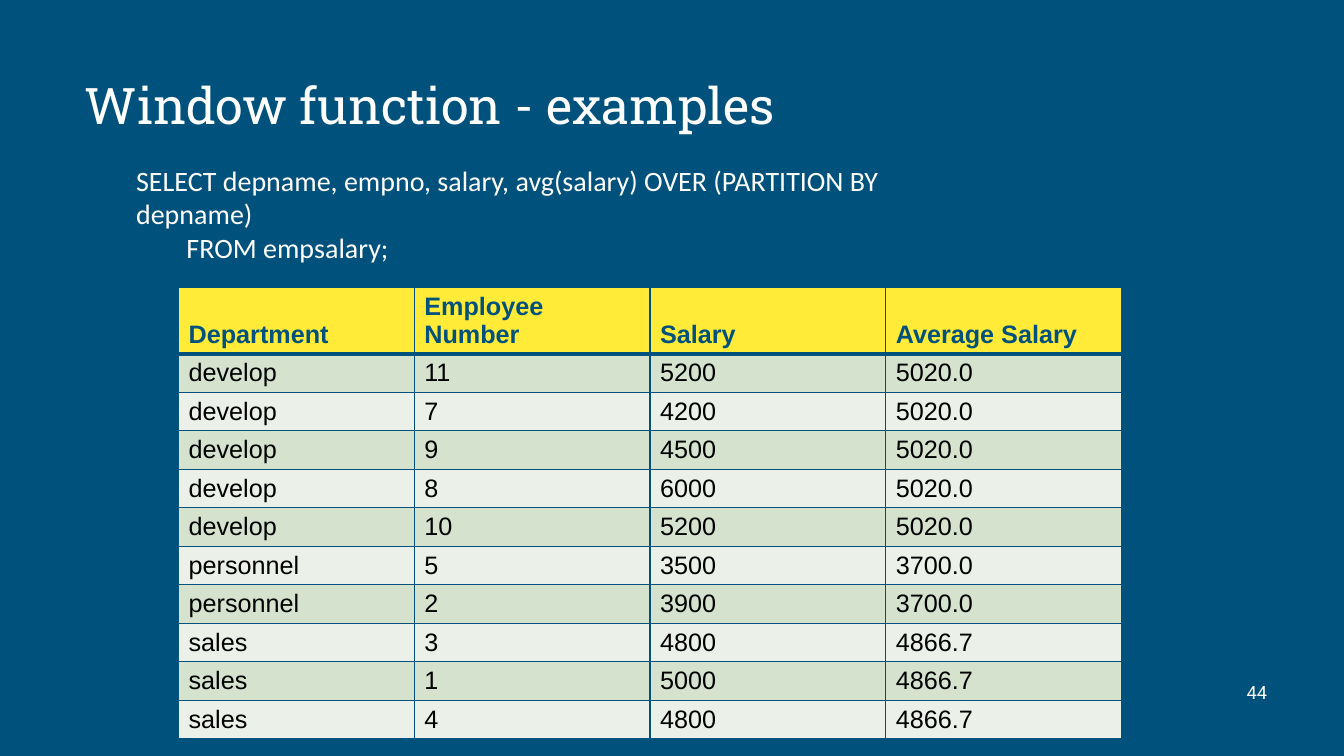
from lxml.etree import SubElement
from pptx import Presentation
from pptx.dml.color import RGBColor
from pptx.enum.text import MSO_ANCHOR, PP_ALIGN
from pptx.oxml.ns import qn
from pptx.util import Cm, Pt

COLORS = {
    "navy": "00517C",
    "yellow": "FFEB38",
    "green": "D4E2CE",
    "pale": "EBF1E8",
    "white": "FFFFFF",
    "black": "000000",
}
HEADINGS = ("Department", "Employee Number", "Salary", "Average Salary")
EMPLOYEES = (
    ("develop", "11", "5200", "5020.0"),
    ("develop", "7", "4200", "5020.0"),
    ("develop", "9", "4500", "5020.0"),
    ("develop", "8", "6000", "5020.0"),
    ("develop", "10", "5200", "5020.0"),
    ("personnel", "5", "3500", "3700.0"),
    ("personnel", "2", "3900", "3700.0"),
    ("sales", "3", "4800", "4866.7"),
    ("sales", "1", "5000", "4866.7"),
    ("sales", "4", "4800", "4866.7"),
)
QUERY = (
    "SELECT depname, empno, salary, avg(salary) OVER (PARTITION BY depname)",
    "  \tFROM empsalary;",
)


def rgb(name):
    """Return the named colour."""
    return RGBColor.from_string(COLORS[name])


def write(paragraph, text, font, size, color, bold=False):
    """Add one formatted run to a paragraph."""
    run = paragraph.add_run()
    run.text = text
    run.font.name = font
    run.font.size = Pt(size)
    run.font.bold = bold
    run.font.color.rgb = rgb(color)


def add_title(slide, left, top, width, height):
    """Place the slide title in its box."""
    title = slide.shapes.title
    title.left, title.top, title.width, title.height = left, top, width, height
    frame = title.text_frame
    frame.word_wrap = True
    frame.vertical_anchor = MSO_ANCHOR.TOP
    frame.margin_top = Cm(0.33)
    heading = frame.paragraphs[0]
    heading.alignment = PP_ALIGN.LEFT
    heading.line_spacing = 0.9
    write(heading, "Window function - examples", "Roboto Slab", 36, "white")


def add_query(slide, left, top, width, height):
    """Place the SQL query, one paragraph a line."""
    frame = slide.shapes.add_textbox(left, top, width, height).text_frame
    frame.word_wrap = True
    for index, line in enumerate(QUERY):
        paragraph = frame.add_paragraph() if index else frame.paragraphs[0]
        write(paragraph, line, "Calibri", 20, "white")


def add_borders(cell, top, bottom):
    """Draw the four cell borders, with top and bottom widths in points."""
    properties = cell._tc.get_or_add_tcPr()
    for side, width in (("L", 1), ("R", 1), ("T", top), ("B", bottom)):
        line = SubElement(properties, qn(f"a:ln{side}"), w=str(Pt(width)))
        fill = SubElement(line, qn("a:solidFill"))
        SubElement(fill, qn("a:srgbClr"), val=COLORS["navy"])


def add_salaries(slide, left, top, width, height):
    """Place the salary table with a taller header and banded rows."""
    records = (HEADINGS, *EMPLOYEES)
    table = slide.shapes.add_table(
        len(records), len(HEADINGS), left, top, width, height
    ).table
    header_height = Cm(1.66)
    for column in table.columns:
        column.width = width // len(HEADINGS)
    for row_index, record in enumerate(records):
        header = row_index == 0
        table.rows[row_index].height = (
            header_height if header else (height - header_height) // len(EMPLOYEES)
        )
        band = "yellow" if header else ("pale", "green")[row_index % 2]
        for column_index, value in enumerate(record):
            cell = table.cell(row_index, column_index)
            add_borders(cell, 3 if row_index == 1 else 1, 3 if header else 1)
            cell.fill.solid()
            cell.fill.fore_color.rgb = rgb(band)
            cell.vertical_anchor = MSO_ANCHOR.BOTTOM if header else MSO_ANCHOR.MIDDLE
            write(cell.text_frame.paragraphs[0], value, "Arial", 18,
                  "navy" if header else "black", header)


def add_page_number(slide, left, top, width, height):
    """Place the right-aligned page number."""
    frame = slide.shapes.add_textbox(left, top, width, height).text_frame
    frame.word_wrap = True
    frame.vertical_anchor = MSO_ANCHOR.MIDDLE
    number = frame.paragraphs[0]
    number.alignment = PP_ALIGN.RIGHT
    write(number, "44", "Roboto", 13, "white")


def main():
    """Build and save the slide."""
    deck = Presentation()
    deck.slide_width, deck.slide_height = Cm(33.87), Cm(19.05)
    slide = deck.slides.add_slide(deck.slide_layouts[5])
    slide.background.fill.solid()
    slide.background.fill.fore_color.rgb = rgb("navy")
    add_title(slide, Cm(1.88), Cm(1.7), Cm(23.88), Cm(3.66))
    add_salaries(slide, Cm(4.5), Cm(7.24), Cm(23.76), Cm(11.36))
    add_page_number(slide, Cm(30.28), Cm(16.94), Cm(1.9), Cm(1.02))
    add_query(slide, Cm(3.18), Cm(3.99), Cm(22.05), Cm(2.82))
    deck.save("out.pptx")


if __name__ == "__main__":
    main()
